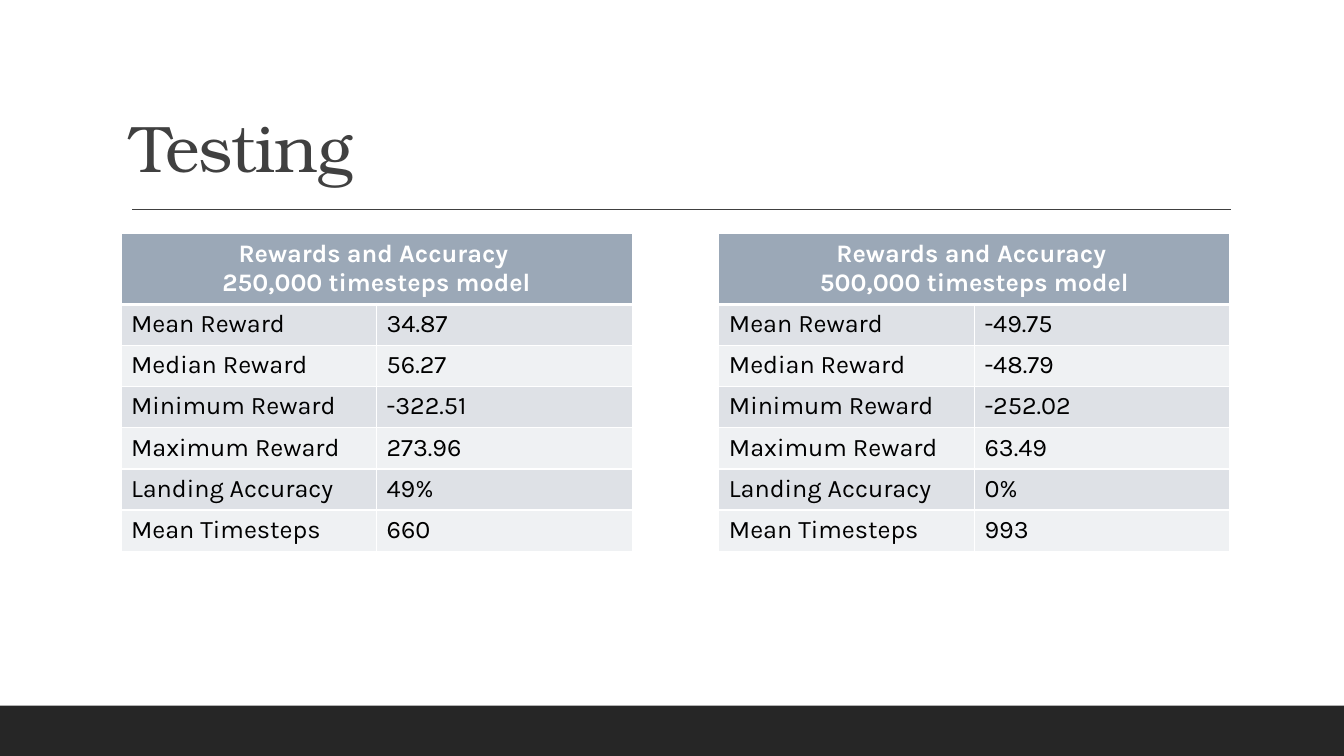
from dataclasses import dataclass

from lxml.etree import SubElement
from pptx import Presentation
from pptx.dml.color import RGBColor
from pptx.enum.shapes import MSO_CONNECTOR, MSO_SHAPE
from pptx.enum.text import MSO_ANCHOR, PP_ALIGN
from pptx.oxml import parse_xml
from pptx.oxml.ns import nsdecls, qn
from pptx.util import Inches, Pt


@dataclass(frozen=True)
class Theme:
    heading_font: str = "TeX Gyre Bonum"
    body_font: str = "Karla"
    title_size: float = 47
    table_size: float = 18
    ink: str = "404040"
    footer: str = "262626"
    header: str = "9BA8B7"
    bands: tuple = ("DEE1E6", "EFF1F3")
    white: str = "FFFFFF"
    black: str = "000000"


@dataclass(frozen=True)
class Box:
    left: float
    top: float
    width: float
    height: float

    def inches(self):
        return [Inches(v) for v in (self.left, self.top, self.width, self.height)]


THEME = Theme()
WIDTH, HEIGHT = 13.33, 7.5
MARGIN = 1.2
CONTENT_WIDTH = 11
TABLE_WIDTH = 5.07
HEADER_ROWS = 5 / 3  # header height, counted in body rows

METRICS = ["Mean Reward", "Median Reward", "Minimum Reward",
           "Maximum Reward", "Landing Accuracy", "Mean Timesteps"]
MODELS = {
    "250,000 timesteps model": ["34.87", "56.27", "-322.51", "273.96", "49%", "660"],
    "500,000 timesteps model": ["-49.75", "-48.79", "-252.02", "63.49", "0%", "993"],
}


def color(value):
    return RGBColor.from_string(value)


def style_text(text_frame, font_name, size, text_color, bold=False):
    for paragraph in text_frame.paragraphs:
        for run in paragraph.runs:
            run.font.name = font_name
            run.font.size = Pt(size)
            run.font.bold = bold
            run.font.color.rgb = color(text_color)


def add_footer(slide, box):
    bar = slide.shapes.add_shape(MSO_SHAPE.RECTANGLE, *box.inches())
    bar.shadow.inherit = False
    bar.fill.solid()
    bar.fill.fore_color.rgb = color(THEME.footer)
    bar.line.fill.background()


def add_title(slide, box, title):
    """Place the title at the bottom of the box, with a rule below it."""
    text_frame = slide.shapes.add_textbox(*box.inches()).text_frame
    text_frame.word_wrap = True
    text_frame.vertical_anchor = MSO_ANCHOR.BOTTOM
    text_frame.text = title
    paragraph = text_frame.paragraphs[0]
    paragraph.line_spacing = 0.9
    style_text(text_frame, THEME.heading_font, THEME.title_size, THEME.ink)
    paragraph.runs[0].font._element.set("spc", "-50")

    rule_y = Inches(box.top + box.height + 0.18)
    rule = slide.shapes.add_connector(
        MSO_CONNECTOR.STRAIGHT, Inches(box.left + 0.11), rule_y,
        Inches(box.left + box.width + 0.01), rule_y)
    rule.line.color.rgb = color(THEME.ink)
    rule.line.width = Pt(1)
    SubElement(rule._element.spPr, qn("a:effectLst"))


def style_cell(cell, fill, bottom_width=1):
    """Fill the cell and give it white borders."""
    cell.fill.solid()
    cell.fill.fore_color.rgb = color(fill)
    properties = cell._tc.get_or_add_tcPr()
    for index, side in enumerate("LRTB"):
        width = Pt(bottom_width if side == "B" else 1)
        properties.insert(index, parse_xml(
            f'<a:ln{side} {nsdecls("a")} w="{width}"><a:solidFill>'
            f'<a:srgbClr val="{THEME.white}"/></a:solidFill></a:ln{side}>'))


def add_results_table(slide, box, model, values):
    table = slide.shapes.add_table(len(METRICS) + 1, 2, *box.inches()).table
    row_height = box.height / (len(METRICS) + HEADER_ROWS)
    for row in table.rows:
        row.height = Inches(row_height)
    table.rows[0].height = Inches(row_height * HEADER_ROWS)

    header = table.cell(0, 0)
    header.merge(table.cell(0, 1))
    header.text_frame.text = f"Rewards and Accuracy \n{model}"
    for paragraph in header.text_frame.paragraphs:
        paragraph.alignment = PP_ALIGN.CENTER
    style_text(header.text_frame, THEME.body_font, THEME.table_size, THEME.white, bold=True)
    for column in range(2):
        style_cell(table.cell(0, column), THEME.header, bottom_width=3)

    for row, texts in enumerate(zip(METRICS, values), start=1):
        for column, text in enumerate(texts):
            cell = table.cell(row, column)
            cell.text_frame.text = text
            style_text(cell.text_frame, THEME.body_font, THEME.table_size, THEME.black)
            style_cell(cell, THEME.bands[(row - 1) % 2])


def main():
    presentation = Presentation()
    presentation.slide_width, presentation.slide_height = Inches(WIDTH), Inches(HEIGHT)
    slide = presentation.slides.add_slide(presentation.slide_layouts[6])

    footer_height = HEIGHT / 15
    add_footer(slide, Box(0, HEIGHT - footer_height, WIDTH, footer_height))
    add_title(slide, Box(MARGIN, 0.31, CONTENT_WIDTH, 1.59), "Testing")
    table_step = CONTENT_WIDTH - TABLE_WIDTH
    for index, (model, values) in enumerate(MODELS.items()):
        box = Box(MARGIN + index * table_step, 2.32, TABLE_WIDTH, 3.13)
        add_results_table(slide, box, model, values)

    presentation.save("out.pptx")


if __name__ == "__main__":
    main()
